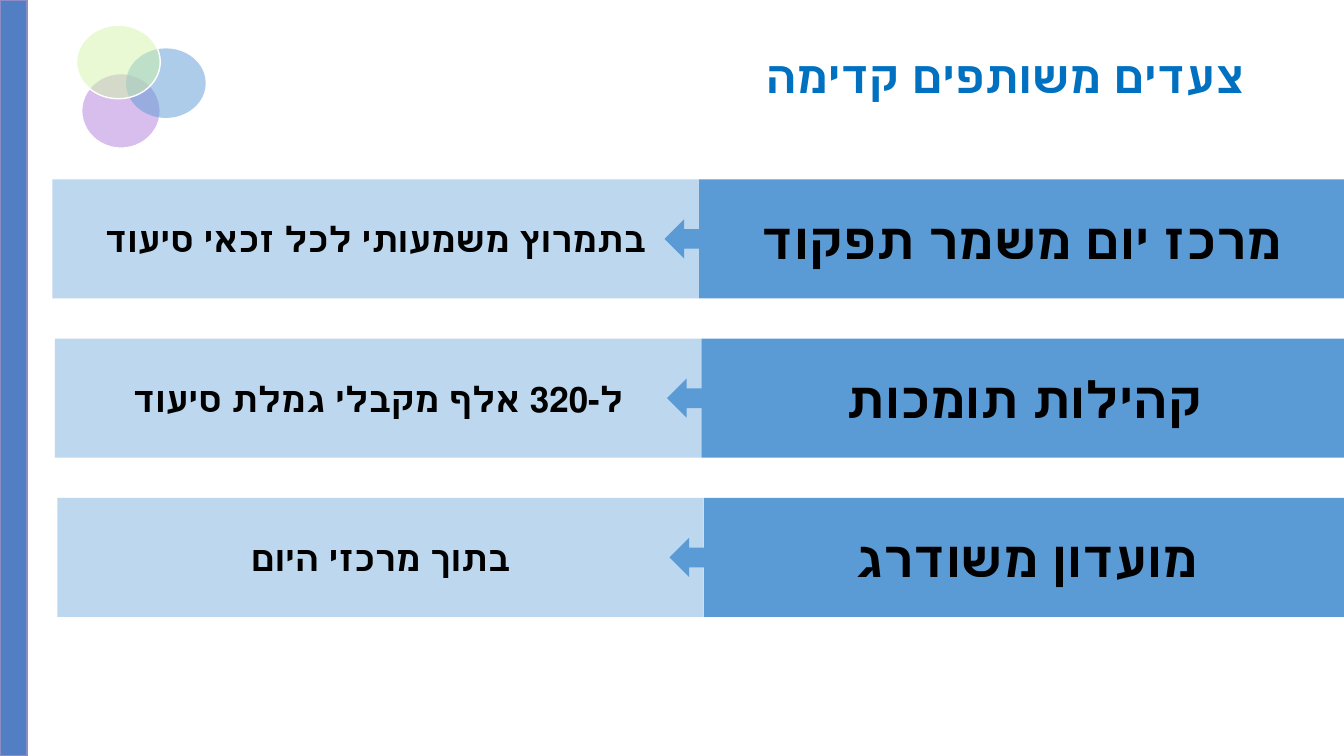
import pptx
import pptx.util
import pptx.dml.color
import pptx.enum.shapes
import pptx.enum.text
import pptx.oxml
import pptx.oxml.ns

Inches = pptx.util.Inches
RGBColor = pptx.dml.color.RGBColor
SHAPE = pptx.enum.shapes.MSO_SHAPE
ALIGN = pptx.enum.text.PP_ALIGN
ANCHOR = pptx.enum.text.MSO_ANCHOR

WHITE = RGBColor(0xFF, 0xFF, 0xFF)
BLACK = RGBColor(0x00, 0x00, 0x00)
SIDEBAR_BLUE = RGBColor(0x52, 0x7F, 0xC4)
SIDEBAR_EDGE = RGBColor(0x8C, 0x8D, 0xC5)
STEP_BLUE = RGBColor(0x5B, 0x9B, 0xD5)
DETAIL_BLUE = RGBColor(0xBD, 0xD7, 0xEE)
TITLE_BLUE = RGBColor(0x00, 0x70, 0xC0)
LILAC = RGBColor(0xD8, 0xBE, 0xEC)
LIME = RGBColor(0xD3, 0xF4, 0xA8)

STEPS = [
    ("מרכז יום משמר תפקוד", "בתמרוץ משמעותי לכל זכאי סיעוד"),
    ("קהילות תומכות", "ל-320 אלף מקבלי גמלת סיעוד"),
    ("מועדון משודרג", "בתוך מרכזי היום"),
]
ROW_LEFT, ROW_TOP = 0.52, 1.78
ROW_SHIFT, ROW_PITCH = 0.025, 1.58
BAR_WIDTH, BAR_HEIGHT = 6.41, 1.18
ARROW_WIDTH, ARROW_HEIGHT = 0.72, 0.39
ARROW_OVERLAP = 0.34


def add_figure(shapes, kind, box, fill, edge=None, alpha=None):
    """Add a flat preset shape; alpha is the opacity in percent."""
    figure = shapes.add_shape(kind, *map(Inches, box))
    figure.shadow.inherit = False
    figure.fill.solid()
    figure.fill.fore_color.rgb = fill
    if alpha is not None:
        color = figure.fill._xPr.find(".//" + pptx.oxml.ns.qn("a:srgbClr"))
        color.append(pptx.oxml.parse_xml(
            f'<a:alpha {pptx.oxml.ns.nsdecls("a")} val="{alpha * 1000}"/>'))
    if edge is None:
        figure.line.fill.background()
    else:
        figure.line.color.rgb = edge
        figure.line.width = pptx.util.Pt(1)
    return figure


def write_hebrew(holder, text, size, color, align):
    frame = holder.text_frame
    frame.word_wrap = True
    paragraph = frame.paragraphs[0]
    paragraph._p.get_or_add_pPr().set("rtl", "1")
    paragraph.alignment = align
    run = paragraph.add_run()
    run.text = text
    run.font.color.rgb = color
    text_format = {"name": "Calibri", "size": pptx.util.Pt(size), "bold": True}
    for attribute, value in text_format.items():
        setattr(run.font, attribute, value)


def add_bar(shapes, left, top, fill, text, size):
    bar = add_figure(shapes, SHAPE.RECTANGLE,
                     (left, top, BAR_WIDTH, BAR_HEIGHT), fill)
    bar.text_frame.vertical_anchor = ANCHOR.MIDDLE
    write_hebrew(bar, text, size, BLACK, ALIGN.CENTER)


def add_step(slide, index, step, detail):
    """Add one row: the step on the right, an arrow, its detail on the left."""
    left = ROW_LEFT + index * ROW_SHIFT
    top = ROW_TOP + index * ROW_PITCH
    seam = left + BAR_WIDTH
    row = slide.shapes.add_group_shape().shapes
    add_bar(row, seam, top, STEP_BLUE, step, 36)
    add_bar(row, left, top, DETAIL_BLUE, detail, 25)
    arrow_top = top + (BAR_HEIGHT - ARROW_HEIGHT) / 2
    add_figure(row, SHAPE.LEFT_ARROW,
               (seam - ARROW_OVERLAP, arrow_top, ARROW_WIDTH, ARROW_HEIGHT),
               STEP_BLUE)


def add_title(slide, text):
    title = slide.shapes.add_textbox(*map(Inches, (4.49, 0.43, 7.96, 0.64)))
    title.text_frame.auto_size = pptx.enum.text.MSO_AUTO_SIZE.SHAPE_TO_FIT_TEXT
    write_hebrew(title, text, 32, TITLE_BLUE, ALIGN.RIGHT)


def add_circles(slide):
    circles = [
        ((0.81, 0.73, 0.78, 0.74), LILAC, WHITE, None),
        ((1.25, 0.48, 0.79, 0.69), STEP_BLUE, None, 50),
        ((0.76, 0.25, 0.83, 0.73), LIME, WHITE, 50),
    ]
    for box, fill, edge, alpha in circles:
        add_figure(slide.shapes, SHAPE.OVAL, box, fill, edge, alpha)


def main():
    deck = pptx.Presentation()
    deck.slide_width, deck.slide_height = Inches(13.33), Inches(7.5)
    slide = deck.slides.add_slide(deck.slide_layouts[6])
    add_figure(slide.shapes, SHAPE.RECTANGLE, (0, 0, 0.27, 7.5),
               SIDEBAR_BLUE, SIDEBAR_EDGE)
    for index, (step, detail) in enumerate(STEPS):
        add_step(slide, index, step, detail)
    add_title(slide, "צעדים משותפים קדימה")
    add_circles(slide)
    deck.save("out.pptx")


if __name__ == "__main__":
    main()
